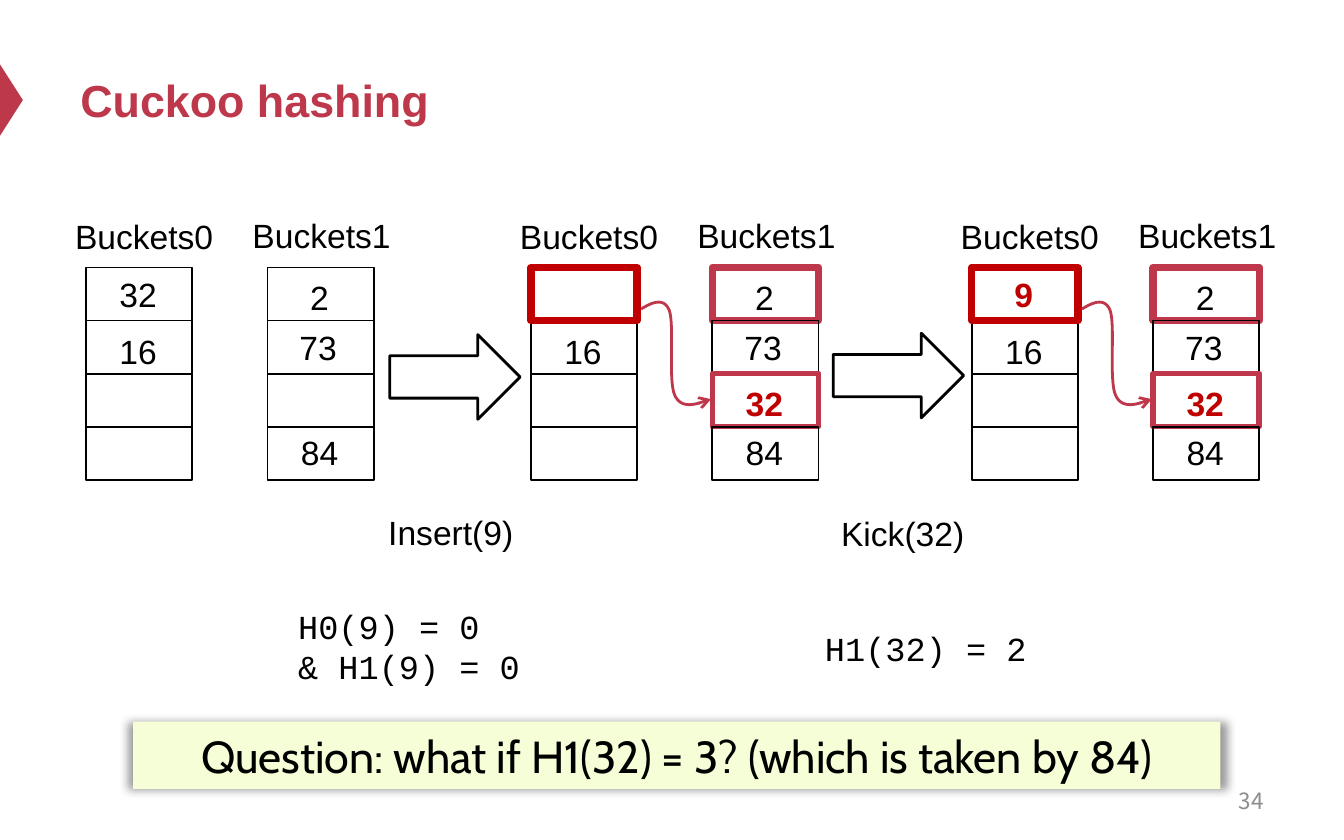
from dataclasses import dataclass

from lxml.etree import SubElement
from pptx import Presentation
from pptx.dml.color import RGBColor
from pptx.enum.shapes import MSO_SHAPE
from pptx.enum.text import MSO_ANCHOR, MSO_AUTO_SIZE, PP_ALIGN
from pptx.oxml.ns import qn
from pptx.shapes.autoshape import Shape
from pptx.slide import Slide
from pptx.util import Inches, Pt

BLACK, RED, CRIMSON = "000000", "C00000", "BE374B"
TITLE_RED, GREY, PALE_GREEN = "BE384B", "8C8C8C", "F5FED6"
TABLE_TOP, TABLE_BOTTOM, ROWS = 1.99, 3.57, 4
ROW_HEIGHT = (TABLE_BOTTOM - TABLE_TOP) / ROWS
CELL_WIDTH, COLUMN_STEP = 0.79, 1.35
VALUE_HEIGHT = 0.4


@dataclass(frozen=True)
class Style:
    size: float = 18
    font: str = "Arial"
    color: str = BLACK
    bold: bool = False


@dataclass(frozen=True)
class Cell:
    text: str = ""
    dx: float = 0.15
    dy: float = 0
    style: Style = Style()
    edge: str = BLACK
    weight: float = 1


@dataclass(frozen=True)
class Bucket:
    label: str
    label_dx: float
    label_top: float
    cells: tuple[Cell, ...]


@dataclass(frozen=True)
class Stage:
    left: float
    buckets: tuple[Bucket, Bucket]
    kicks: bool = False


@dataclass(frozen=True)
class Step:
    arrow_left: float
    arrow_top: float
    label: str
    label_left: float
    label_top: float


def rgb(color: str) -> RGBColor:
    return RGBColor.from_string(color)


def write(shape: Shape, lines: tuple[str, ...], style: Style,
          align: PP_ALIGN = PP_ALIGN.LEFT, level: int = 0) -> None:
    frame = shape.text_frame
    for index, line in enumerate(lines):
        paragraph = frame.paragraphs[0] if index == 0 else frame.add_paragraph()
        paragraph.alignment = align
        paragraph.level = level
        run = paragraph.add_run()
        run.text = line
        run.font.size = Pt(style.size)
        run.font.name = style.font
        run.font.bold = style.bold
        run.font.color.rgb = rgb(style.color)


def add_text(slide: Slide, left: float, top: float, width: float, height: float,
             *lines: str, style: Style = Style(), wrap: bool = True, grow: bool = True,
             align: PP_ALIGN = PP_ALIGN.LEFT, level: int = 0) -> None:
    box = slide.shapes.add_textbox(Inches(left), Inches(top), Inches(width), Inches(height))
    frame = box.text_frame
    frame.word_wrap = wrap
    frame.auto_size = MSO_AUTO_SIZE.SHAPE_TO_FIT_TEXT if grow else MSO_AUTO_SIZE.NONE
    frame.vertical_anchor = MSO_ANCHOR.TOP if grow else MSO_ANCHOR.MIDDLE
    write(box, lines, style, align, level)


def add_shape(slide: Slide, kind: MSO_SHAPE, left: float, top: float, width: float,
              height: float, fill: str = "", edge: str = "", weight: float = 1) -> Shape:
    shape = slide.shapes.add_shape(kind, Inches(left), Inches(top), Inches(width), Inches(height))
    shape.shadow.inherit = False
    if fill:
        shape.fill.solid()
        shape.fill.fore_color.rgb = rgb(fill)
    else:
        shape.fill.background()
    if edge:
        shape.line.color.rgb = rgb(edge)
        shape.line.width = Pt(weight)
    else:
        shape.line.fill.background()
    return shape


def add_bucket(slide: Slide, left: float, bucket: Bucket) -> None:
    rows = [(TABLE_TOP + row * ROW_HEIGHT, cell) for row, cell in enumerate(bucket.cells)]
    for top, cell in sorted(rows, key=lambda row: row[1].edge == RED):
        add_shape(slide, MSO_SHAPE.RECTANGLE, left, top, CELL_WIDTH, ROW_HEIGHT,
                  edge=cell.edge, weight=cell.weight)
    for top, cell in rows:
        if cell.text:
            width = 0.48 if len(cell.text) > 1 else 0.34
            add_text(slide, left + cell.dx, top + cell.dy, width, VALUE_HEIGHT,
                     cell.text, style=cell.style, wrap=False)
    add_text(slide, left + bucket.label_dx, bucket.label_top, 1.31, VALUE_HEIGHT, bucket.label)


def bezier(points: tuple[tuple[float, float], ...], t: float) -> tuple[float, float]:
    weights = ((1 - t) ** 3, 3 * t * (1 - t) ** 2, 3 * t ** 2 * (1 - t), t ** 3)
    x, y = (sum(w * p[axis] for w, p in zip(weights, points)) for axis in (0, 1))
    return x, y


def add_kick_curve(slide: Slide, left: float) -> None:
    knots = ((0.82, 2.3), (0.9, 2.25), (0.99, 2.21), (1.03, 2.31), (1.07, 2.42),
             (1.02, 2.83), (1.07, 2.94), (1.12, 3.05), (1.23, 3.01), (1.34, 2.97))
    samples = 16
    curve = [bezier(knots[start:start + 4], step / samples)
             for start in range(0, len(knots) - 1, 3) for step in range(1, samples + 1)]
    points = [(Inches(left + x), Inches(y)) for x, y in (knots[0], *curve)]
    builder = slide.shapes.build_freeform(*points[0])
    builder.add_line_segments(points[1:], close=False)
    kick = builder.convert_to_shape()
    kick.shadow.inherit = False
    kick.fill.background()
    kick.line.color.rgb = rgb(CRIMSON)
    kick.line.width = Pt(1.5)
    SubElement(kick.line._get_or_add_ln(), qn("a:tailEnd"), type="arrow")


def add_question(slide: Slide, text: str) -> None:
    banner = add_shape(slide, MSO_SHAPE.RECTANGLE, 0.99, 5.37, 8.09, 0.5, fill=PALE_GREEN)
    banner.text_frame.word_wrap = True
    write(banner, (text,), Style(24, "Cabin"), PP_ALIGN.CENTER)
    effects = banner._element.spPr.find(qn("a:effectLst"))
    shadow = SubElement(effects, qn("a:outerShdw"), blurRad=str(Pt(5)), sx="101000",
                        algn="ctr", rotWithShape="0")
    tint = SubElement(shadow, qn("a:srgbClr"), val=BLACK)
    SubElement(tint, qn("a:alpha"), val="40000")


EMPTY = Cell()
STRONG = Style(color=RED, bold=True)
SIXTEEN = Cell("16", dy=0.03)
SEVENTY_THREE = Cell("73", dx=0.14)
EIGHTY_FOUR = Cell("84", dy=-0.01)
KICKED = Cell("32", dy=0.02, style=STRONG, edge=CRIMSON, weight=3)
PROBED = Cell("2", dx=0.22, dy=0.02, edge=CRIMSON, weight=4)


def buckets(first: Cell, second: Cell, third: Cell) -> tuple[Bucket, Bucket]:
    return (Bucket("Buckets0", -0.18, 1.56, (first, SIXTEEN, EMPTY, EMPTY)),
            Bucket("Buckets1", -0.21, 1.55, (second, SEVENTY_THREE, third, EIGHTY_FOUR)))


STAGES = (
    Stage(0.64, buckets(Cell("32"), Cell("2", dx=0.22, dy=0.02), EMPTY)),
    Stage(3.95, buckets(Cell(edge=RED, weight=4), PROBED, KICKED), kicks=True),
    Stage(7.23, buckets(Cell("9", dx=0.22, style=STRONG, edge=RED, weight=4), PROBED, KICKED),
          kicks=True),
)
STEPS = (Step(2.9, 2.49, "Insert(9)", 2.79, 3.76), Step(6.2, 2.48, "Kick(32)", 6.16, 3.77))


def main() -> None:
    deck = Presentation()
    deck.slide_width, deck.slide_height = Inches(10), Inches(6.25)
    slide = deck.slides.add_slide(deck.slide_layouts[6])

    marker = add_shape(slide, MSO_SHAPE.ISOSCELES_TRIANGLE, -0.18, 0.66, 0.53, 0.17, fill=TITLE_RED)
    marker.rotation = 90
    add_text(slide, 0.5, 0.25, 9, 0.98, "Cuckoo hashing",
             style=Style(24, color=TITLE_RED, bold=True), grow=False)
    add_text(slide, 7.17, 5.79, 2.33, 0.33, "34", style=Style(12, "Noto Sans CJK SC", GREY),
             grow=False, align=PP_ALIGN.RIGHT)

    for stage in STAGES:
        for column, bucket in enumerate(stage.buckets):
            add_bucket(slide, stage.left + column * COLUMN_STEP, bucket)
        if stage.kicks:
            add_kick_curve(slide, stage.left)
    for step in STEPS:
        add_shape(slide, MSO_SHAPE.RIGHT_ARROW, step.arrow_left, step.arrow_top, 0.97, 0.63,
                  edge=BLACK, weight=1.5)
        add_text(slide, step.label_left, step.label_top, 1.31, VALUE_HEIGHT, step.label)

    code = Style(font="Courier New")
    add_text(slide, 1.62, 4.46, 3.93, 0.71, "H0(9) = 0", "& H1(9) = 0", style=code, level=1)
    add_text(slide, 6.04, 4.62, 1.73, VALUE_HEIGHT, "H1(32) = 2", style=code, wrap=False)
    add_question(slide, "Question: what if H1(32) = 3? (which is taken by 84)")
    deck.save("out.pptx")


if __name__ == "__main__":
    main()
